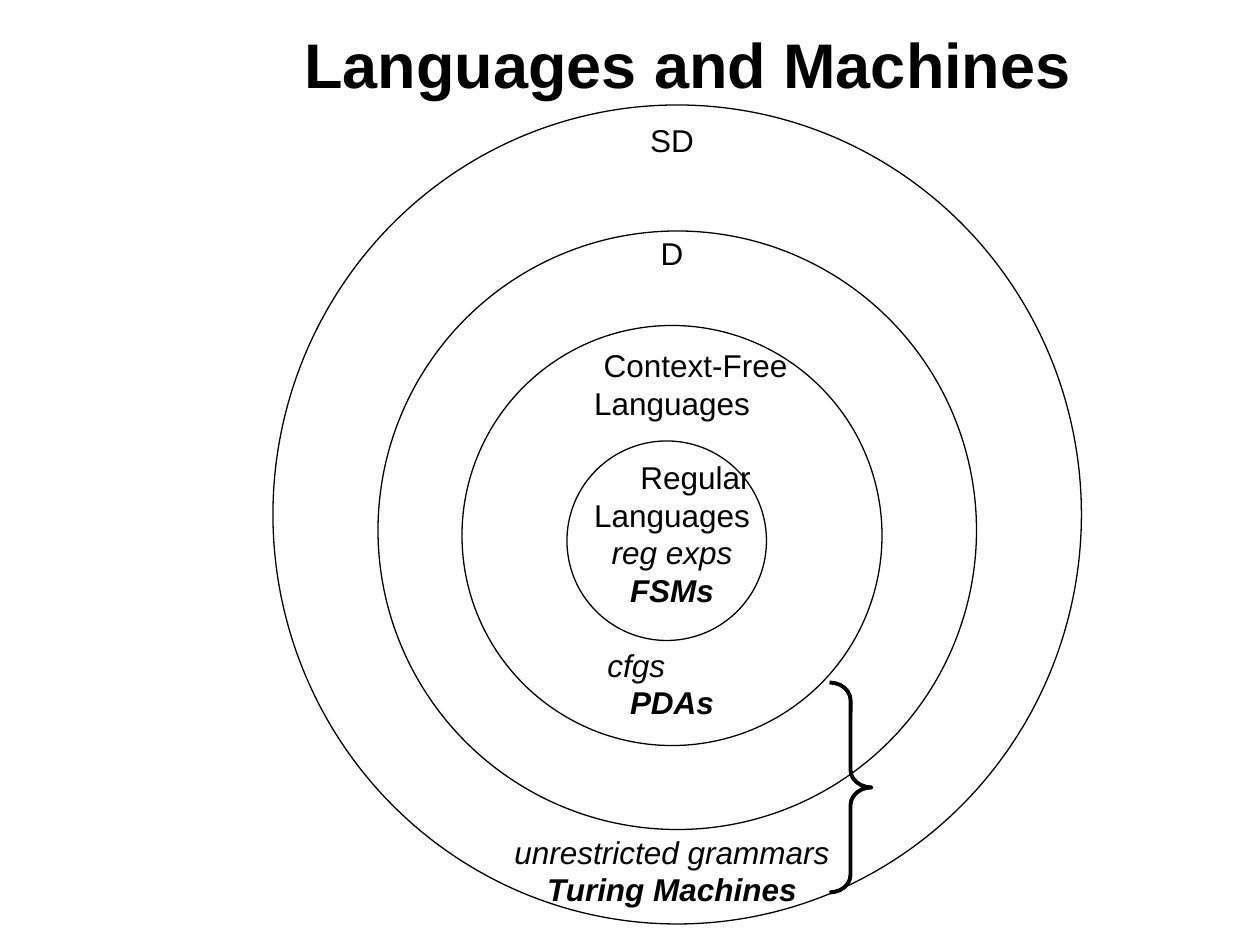
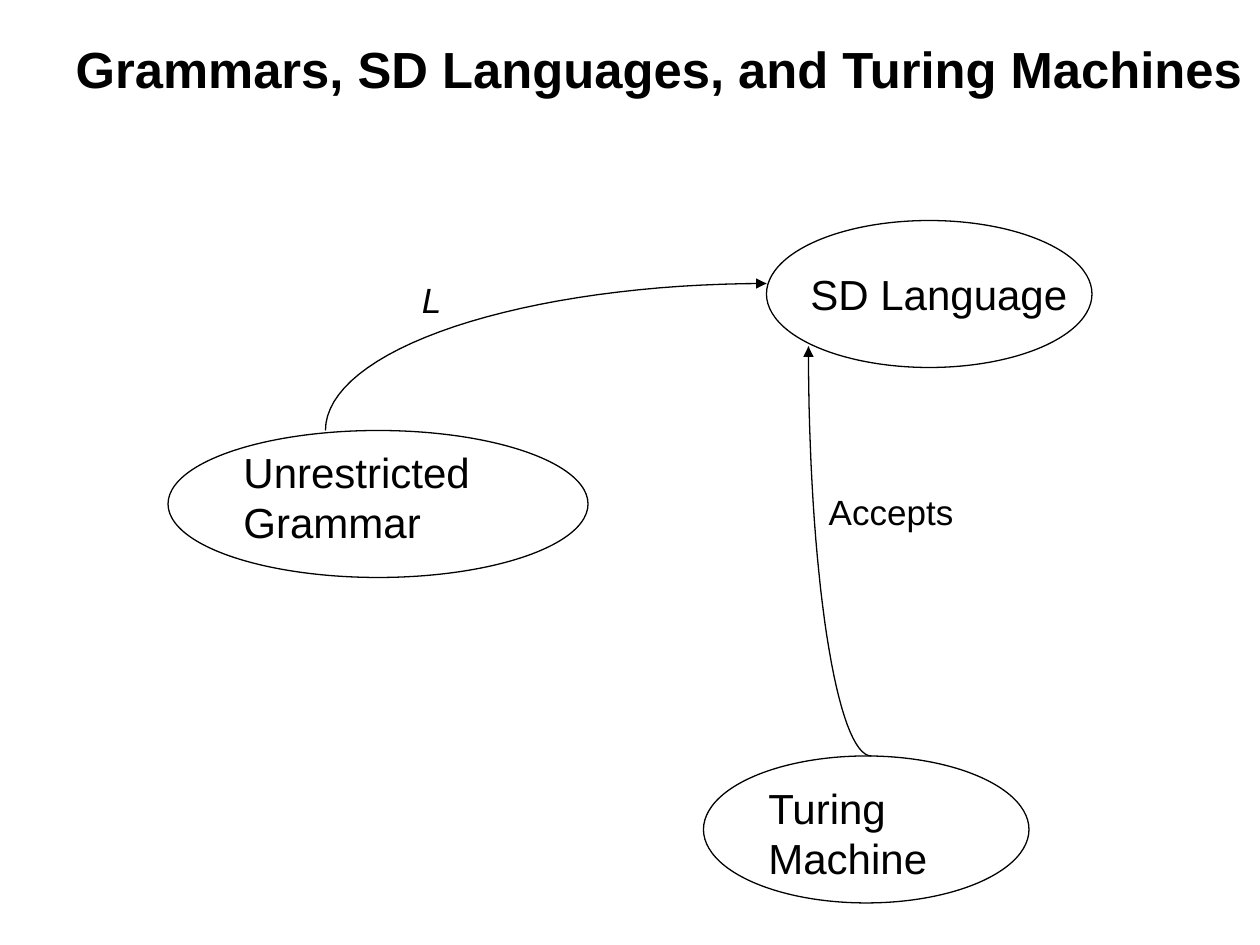
from dataclasses import dataclass
from math import cos, pi, sin

from lxml.etree import SubElement
from pptx import Presentation
from pptx.dml.color import RGBColor
from pptx.enum.shapes import MSO_CONNECTOR as Connector, MSO_SHAPE as Shape
from pptx.enum.text import MSO_ANCHOR as Anchor, MSO_AUTO_SIZE as AutoSize, PP_ALIGN as Align
from pptx.oxml.ns import qn
from pptx.util import Pt

INK = RGBColor(0, 0, 0)
FONT = "Arial"
THIN, THICK = 0.75, 2.25
LINE_PITCH = 1.19
LABEL_SIZE, NODE_SIZE, EDGE_SIZE = 18, 24, 20
ARC_STEPS = 32


@dataclass
class Frame:
    left: float
    top: float
    width: float
    height: float

    def lengths(self) -> tuple:
        return tuple(Pt(v) for v in (self.left, self.top, self.width, self.height))


@dataclass
class Line:
    text: str
    gap_lines: int = 0
    margin: float = 0
    align: Align = Align.LEFT
    bold: bool = False
    italic: bool = False


@dataclass
class Node:
    outline: Frame
    text: str
    label: Frame


@dataclass
class Arrow:
    """A quarter ellipse from tail to tip, with its head along the last stretch."""
    tail: tuple
    tip: tuple
    head_start: tuple
    center: tuple


def ring_label(text: str, gap_lines: int = 0, **style) -> Line:
    return Line(text, gap_lines, **{"align": Align.CENTER, **style})


RINGS = [
    Frame(324, 252, 114, 114),
    Frame(264, 186, 240, 240),
    Frame(216, 132, 342, 342),
    Frame(156, 60, 462, 468),
]
BRACE = Frame(474, 390, 24, 120)
RING_LABELS = [
    ring_label("SD"),
    ring_label("D", 2),
    ring_label("Context-Free", 2, margin=27),
    ring_label("Languages"),
    ring_label("Regular", 1, margin=27),
    ring_label("Languages"),
    ring_label("reg exps", italic=True),
    ring_label("FSMs", bold=True, italic=True),
    ring_label("cfgs", 1, align=Align.LEFT, margin=274, italic=True),
    ring_label("PDAs", bold=True, italic=True),
    ring_label("unrestricted grammars", 3, italic=True),
    ring_label("Turing Machines", bold=True, italic=True),
]
NODES = [
    Node(Frame(438, 126, 186, 84), "SD Language", Frame(456, 150, 198, 36)),
    Node(Frame(402, 432, 186, 84), "Turing Machine", Frame(432, 444, 160, 65)),
    Node(Frame(96, 246, 240, 84), "Unrestricted Grammar", Frame(132, 252, 228, 65)),
]
ARROWS = [
    Arrow((186, 246), (438, 162), (426, 162), (438, 246)),
    Arrow((498, 432), (462, 198), (462, 210), (498, 198)),
]


def style_run(run, size: float, bold: bool = False, italic: bool = False) -> None:
    font = run.font
    font.name, font.size = FONT, Pt(size)
    font.bold, font.italic = bold, italic
    font.color.rgb = INK


def add_titled_page(deck, text: str, size: float, frame: Frame):
    page = deck.slides.add_slide(deck.slide_layouts[5])
    title = page.shapes.title
    title.left, title.top, title.width, title.height = frame.lengths()
    box = title.text_frame
    box.word_wrap, box.auto_size = True, AutoSize.NONE
    box.vertical_anchor = Anchor.MIDDLE
    para = box.paragraphs[0]
    para.alignment = Align.CENTER
    run = para.add_run()
    run.text = text
    style_run(run, size, bold=True)
    return page


def add_text(page, frame: Frame, lines: list[Line], size: float, wrap: bool = True) -> None:
    box = page.shapes.add_textbox(*frame.lengths()).text_frame
    box.word_wrap = wrap
    pitch = round(size * LINE_PITCH, 1)
    for index, line in enumerate(lines):
        para = box.add_paragraph() if index else box.paragraphs[0]
        para.alignment = line.align
        para.line_spacing = Pt(pitch)
        para.space_before = Pt(line.gap_lines * pitch)
        if line.margin:
            para._p.get_or_add_pPr().set("marL", str(Pt(line.margin)))
        run = para.add_run()
        run.text = line.text
        style_run(run, size, line.bold, line.italic)


def style_outline(shape, width: float) -> None:
    shape.shadow.inherit = False
    shape.fill.background()
    shape.line.color.rgb = INK
    shape.line.width = Pt(width)


def add_outline(page, kind: Shape, frame: Frame, width: float = THIN):
    shape = page.shapes.add_shape(kind, *frame.lengths())
    style_outline(shape, width)
    return shape


def add_arrow(page, arrow: Arrow) -> None:
    (cx, cy), (x0, y0), (x1, y1) = arrow.center, arrow.tail, arrow.tip
    points = []
    for step in range(ARC_STEPS + 1):
        angle = step / ARC_STEPS * pi / 2
        x = cx + (x0 - cx) * cos(angle) + (x1 - cx) * sin(angle)
        y = cy + (y0 - cy) * cos(angle) + (y1 - cy) * sin(angle)
        points.append((Pt(x), Pt(y)))
    builder = page.shapes.build_freeform(*points[0])
    builder.add_line_segments(points[1:], close=False)
    style_outline(builder.convert_to_shape(), THIN)

    ends = [Pt(v) for v in (*arrow.head_start, *arrow.tip)]
    head = page.shapes.add_connector(Connector.STRAIGHT, *ends)
    head.line.color.rgb = INK
    head.line.width = Pt(THIN)
    SubElement(head.line._get_or_add_ln(), qn("a:tailEnd"), type="triangle")
    SubElement(head._element.spPr, qn("a:effectLst"))


def build_languages(deck) -> None:
    page = add_titled_page(deck, "Languages and Machines", 36, Frame(60, 6, 666, 60))
    add_text(page, Frame(66, 66, 636, 461), RING_LABELS, LABEL_SIZE)
    for ring in RINGS:
        add_outline(page, Shape.OVAL, ring)
    brace = add_outline(page, Shape.RIGHT_BRACE, BRACE, THICK)
    brace.adjustments[0] = 0.42


def build_grammars(deck) -> None:
    page = add_titled_page(deck, "Grammars, SD Languages, and Turing Machines", 29,
                           Frame(32, 6, 690, 66))
    for node in NODES:
        add_text(page, node.label, [Line(node.text)], NODE_SIZE)
        add_outline(page, Shape.OVAL, node.outline)
    for arrow in ARROWS:
        add_arrow(page, arrow)
    add_text(page, Frame(234, 156, 42, 32), [Line("L", italic=True)], EDGE_SIZE)
    add_text(page, Frame(466.5, 277, 86, 32), [Line("Accepts")], EDGE_SIZE, wrap=False)


def main() -> None:
    """Build the two slides on languages, grammars and machines."""
    deck = Presentation()
    deck.slide_width, deck.slide_height = Pt(720), Pt(540)
    build_languages(deck)
    build_grammars(deck)
    deck.save("out.pptx")


if __name__ == "__main__":
    main()
